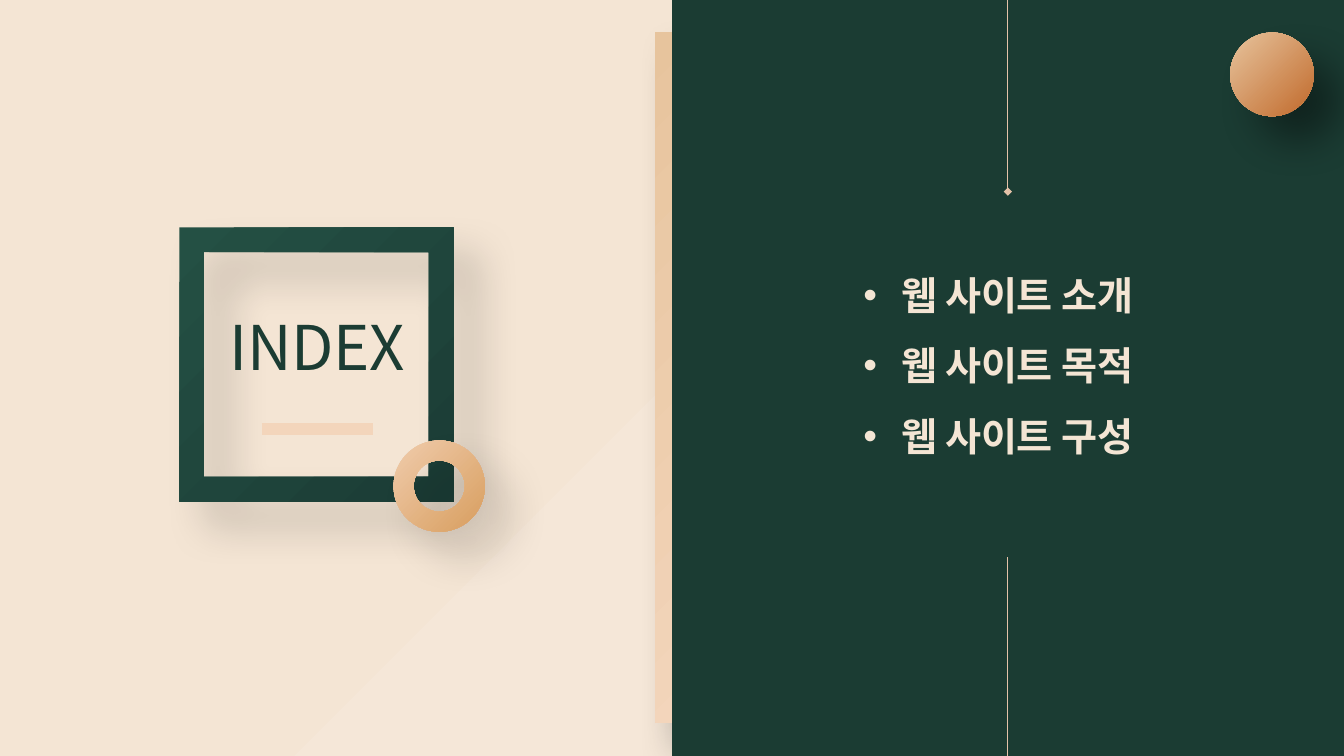
from dataclasses import dataclass

from lxml.etree import SubElement
from pptx import Presentation
from pptx.dml.color import RGBColor
from pptx.enum.shapes import MSO_CONNECTOR as Connector, MSO_SHAPE as Preset
from pptx.enum.text import MSO_ANCHOR as Anchor, PP_ALIGN as Align
from pptx.oxml.ns import qn
from pptx.util import Cm, Pt


@dataclass(frozen=True)
class Theme:
    font: str = "Noto Sans CJK KR"
    title_size: int = 44
    item_size: int = 28
    green: str = "1B3C33"
    cream: str = "F4E5D4"
    line: str = "E4C2A9"
    bar: str = "F3D5BB"
    background: tuple = ("F5E7D8", "F4E5D4")
    panel: tuple = ("1B3C35", "1B3C33")
    band: tuple = ("E7C49D", "F3D5BB")
    frame: tuple = ("245044", "1B3C35")
    ring: tuple = ("F0CCAC", "D89E5F")
    ball: tuple = ("E7C49D", "C16A2C")


THEME = Theme()


def set_attributes(target, values):
    for name, value in values.items():
        setattr(target, name, value)


def add_xml(parent, tag, **attributes):
    return SubElement(parent, qn(tag), {key: str(value) for key, value in attributes.items()})


def fill_gradient(owner, fill, colors, radial=False):
    fill.gradient()
    for stop, color in zip(fill.gradient_stops, colors):
        stop.color.rgb = RGBColor.from_string(color)
    fill.gradient_angle = 315
    if radial:
        linear = next(owner.element.iter(qn("a:lin")))
        gradient = linear.getparent()
        gradient.remove(linear)
        circle = add_xml(gradient, "a:path", path="circle")
        add_xml(circle, "a:fillToRect", l=100000, t=100000)


def add_shadow(shape, opacity):
    effects = shape.element.spPr.find(qn("a:effectLst"))
    shadow = add_xml(effects, "a:outerShdw", blurRad=Pt(30), dist=Pt(26),
                     dir=2700000, algn="tl", rotWithShape=0)
    color = add_xml(shadow, "a:srgbClr", val="000000")
    add_xml(color, "a:alpha", val=opacity * 1000)


def add_figure(slide, preset, box, colors, opacity=0, thickness=None, radial=False):
    shape = slide.shapes.add_shape(preset, *map(Cm, box))
    shape.shadow.inherit = False
    shape.line.fill.background()
    fill_gradient(shape, shape.fill, colors, radial)
    if thickness:
        shape.adjustments[0] = thickness
    if opacity:
        add_shadow(shape, opacity)


def add_line(slide, start, end, color, width, diamond=False):
    connector = slide.shapes.add_connector(Connector.STRAIGHT, *map(Cm, start + end))
    connector.line.color.rgb = RGBColor.from_string(color)
    connector.line.width = Pt(width)
    if diamond:
        add_xml(connector.line._get_or_add_ln(), "a:tailEnd", type="diamond")
    add_xml(connector.element.spPr, "a:effectLst")


def add_text(slide, box, lines, color, size, line_spacing, letter_spacing, frame_format,
             align=Align.LEFT, bold=False, bullet=False):
    frame = slide.shapes.add_textbox(*map(Cm, box)).text_frame
    set_attributes(frame, {"word_wrap": True, "margin_top": 0, "margin_bottom": 0})
    set_attributes(frame, frame_format)
    for index, line in enumerate(lines):
        paragraph = frame.add_paragraph() if index else frame.paragraphs[0]
        set_attributes(paragraph, {"alignment": align, "line_spacing": line_spacing})
        run = paragraph.add_run()
        run.text = line
        set_attributes(run.font, {"name": THEME.font, "size": Pt(size), "bold": bold})
        run.font.color.rgb = RGBColor.from_string(color)
        properties = run.font._element
        properties.set("spc", str(letter_spacing))
        add_xml(properties, "a:ea", typeface=THEME.font)
        if bullet:
            layout = paragraph._p.get_or_add_pPr()
            layout.set("marL", str(Cm(0.95)))
            layout.set("indent", str(Cm(-0.95)))
            add_xml(layout, "a:buFont", typeface="Arial")
            add_xml(layout, "a:buChar", char="•")


def main():
    presentation = Presentation()
    set_attributes(presentation, {"slide_width": Cm(33.87), "slide_height": Cm(19.05)})
    slide = presentation.slides.add_slide(presentation.slide_layouts[6])
    fill_gradient(slide, slide.background.fill, THEME.background, radial=True)

    add_figure(slide, Preset.RECTANGLE, (16.51, 0.81, 0.94, 17.4), THEME.band, 40)
    add_figure(slide, Preset.RECTANGLE, (16.93, 0, 16.94, 19.05), THEME.panel, radial=True)
    add_figure(slide, Preset.FRAME, (4.52, 5.73, 6.91, 6.91), THEME.frame, 17, 0.09)
    add_figure(slide, Preset.DONUT, (9.92, 11.1, 2.3, 2.3), THEME.ring, 17, 0.22)

    add_text(slide, (4.53, 7.75, 6.93, 1.57), ["INDEX"], THEME.green, THEME.title_size, 1.2, -40,
             {"vertical_anchor": Anchor.MIDDLE, "margin_left": 0, "margin_right": 0},
             align=Align.CENTER)
    add_text(slide, (21.51, 6.24, 11.5, 5.35),
             ["웹 사이트 소개", "웹 사이트 목적", "웹 사이트 구성"],
             THEME.cream, THEME.item_size, 1.5, -20, {"vertical_anchor": Anchor.TOP},
             bold=True, bullet=True)

    add_figure(slide, Preset.OVAL, (31, 0.82, 2.11, 2.11), THEME.ball, 40)
    add_line(slide, (25.4, 0), (25.4, 4.83), THEME.line, 0.75, diamond=True)
    add_line(slide, (25.4, 14.04), (25.4, 19.05), THEME.line, 0.75)
    add_line(slide, (6.6, 10.81), (9.4, 10.81), THEME.bar, 8)
    presentation.save("out.pptx")


if __name__ == "__main__":
    main()
